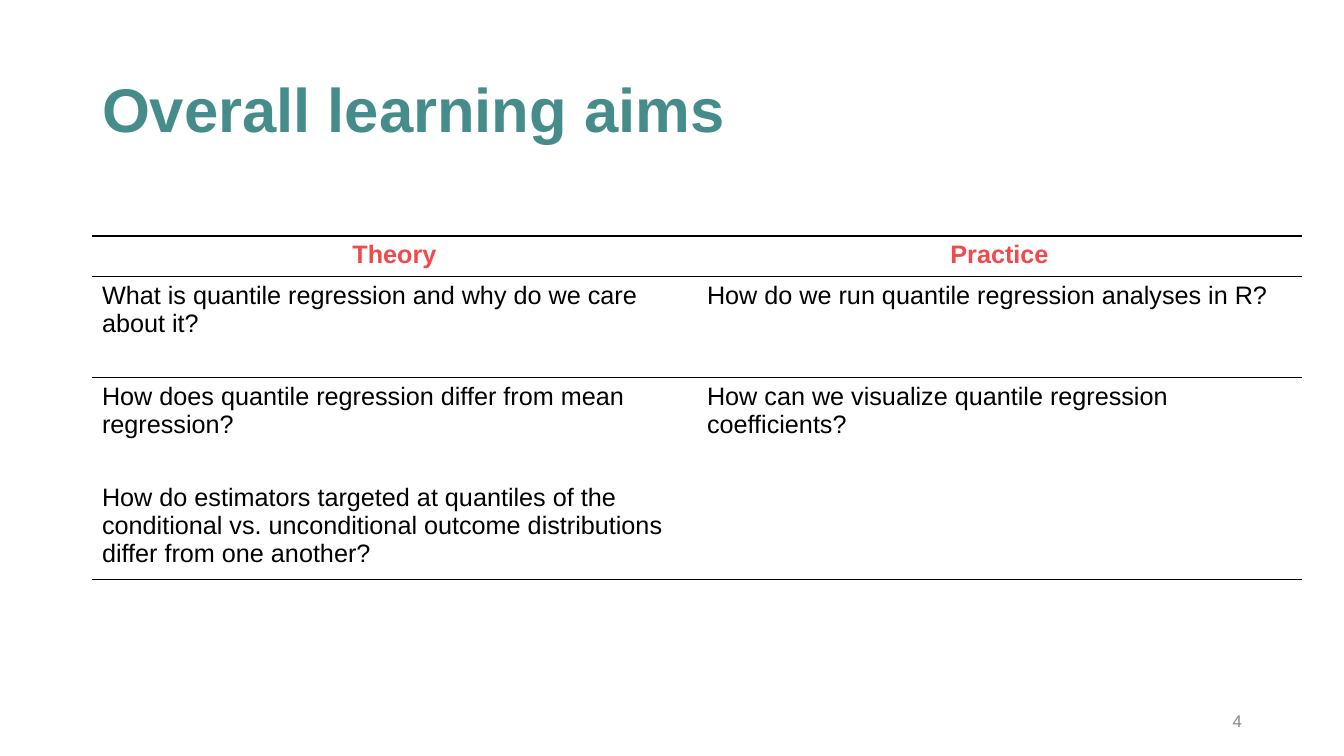
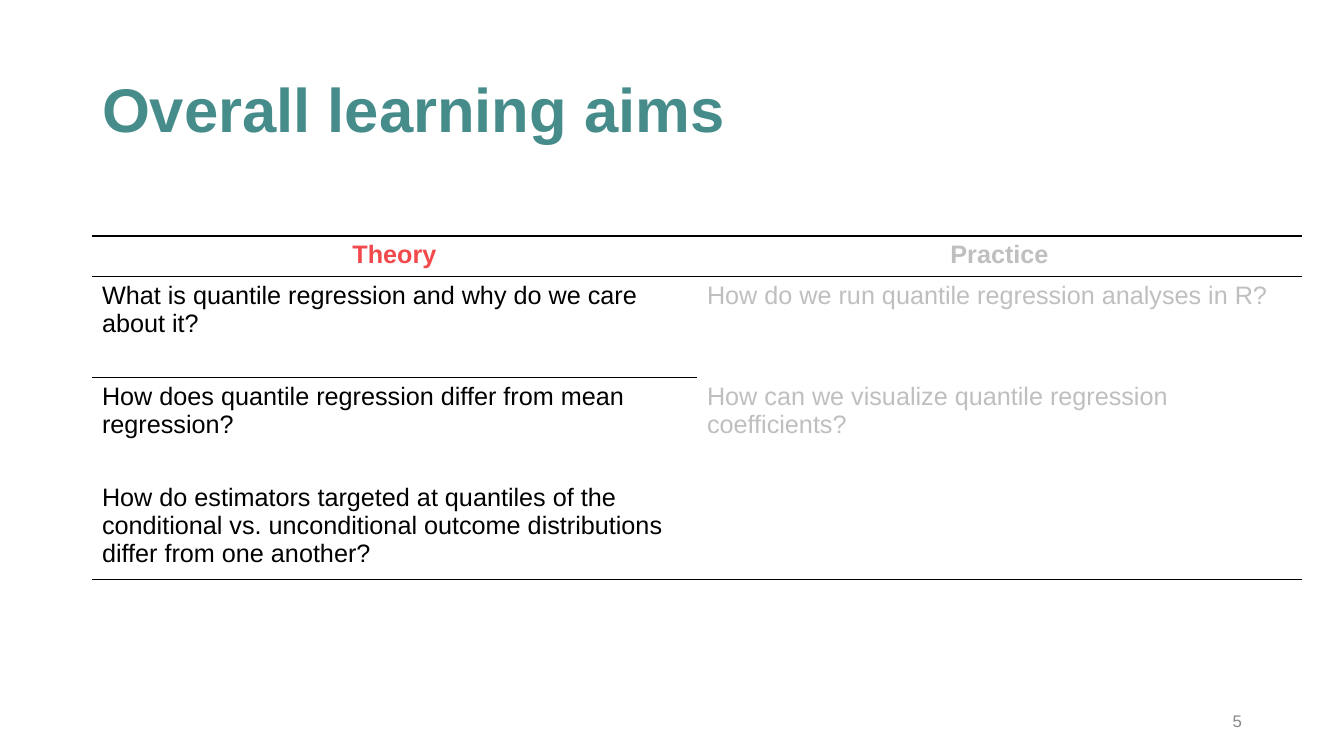
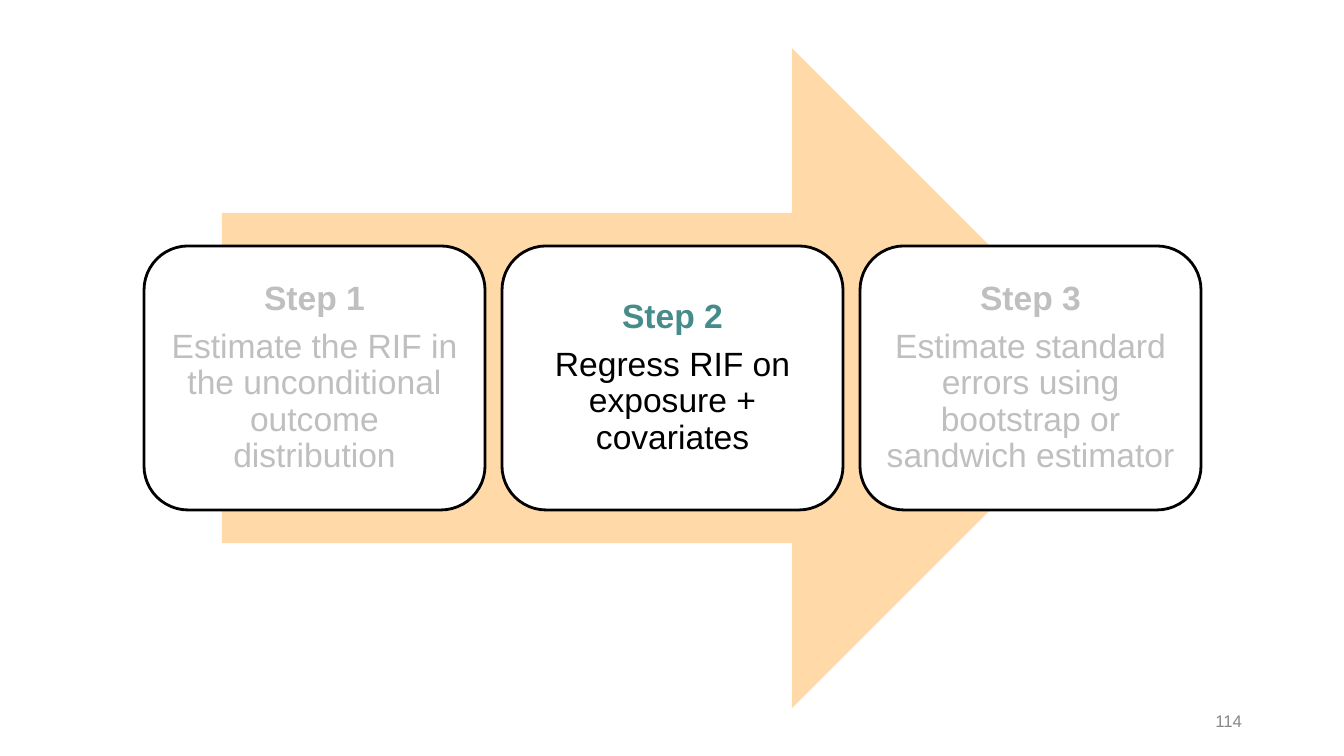
from lxml import etree
from pptx import Presentation
from pptx import util as u
from pptx.dml.color import RGBColor
from pptx.enum import shapes, text
from pptx.oxml import ns

PX = u.Inches(1) / 100.8
FONT = "Arial"
TEAL = RGBColor(0x46, 0x8C, 0x8A)
RED = RGBColor(0xF2, 0x49, 0x4C)
ORANGE = RGBColor(0xFF, 0x93, 0x00)
BLACK = RGBColor(0x00, 0x00, 0x00)
WHITE = RGBColor(0xFF, 0xFF, 0xFF)
FADED = RGBColor(0xBF, 0xBF, 0xBF)
GREY = RGBColor(0x88, 0x88, 0x88)
TITLE_ONLY, BLANK = 5, 6

AIMS = [
    ("Theory", "Practice"),
    ("What is quantile regression and why do we care about it?",
     "How do we run quantile regression analyses in R?"),
    ("How does quantile regression differ from mean regression?",
     "How can we visualize quantile regression coefficients?"),
    ("How do estimators targeted at quantiles of the conditional vs. "
     "unconditional outcome distributions differ from one another?", ""),
]
STEPS = [
    "Estimate the RIF in the unconditional outcome distribution",
    "Regress RIF on exposure + covariates",
    "Estimate standard errors using bootstrap or sandwich estimator",
]


def px(*lengths):
    return [u.Emu(round(length * PX)) for length in lengths]


def style(para, size, color, bold=False, align=text.PP_ALIGN.LEFT):
    para.alignment = align
    para.font.name = FONT
    para.font.size = u.Pt(size)
    para.font.bold = bold
    para.font.color.rgb = color


def add_page(deck, layout, number):
    page = deck.slides.add_slide(deck.slide_layouts[layout])
    frame = page.shapes.add_textbox(*px(950, 701, 302, 40)).text_frame
    frame.word_wrap = True
    frame.vertical_anchor = text.MSO_ANCHOR.MIDDLE
    frame.text = str(number)
    style(frame.paragraphs[0], 12, GREY, align=text.PP_ALIGN.RIGHT)
    return page


def set_title(page, words):
    title = page.shapes.title
    title.left, title.top, title.width, title.height = px(92, 40, 1159, 146)
    frame = title.text_frame
    frame.text = words
    frame.auto_size = text.MSO_AUTO_SIZE.NONE
    frame.vertical_anchor = text.MSO_ANCHOR.MIDDLE
    para = frame.paragraphs[0]
    para.line_spacing = 0.9
    style(para, 44, TEAL, True)


def set_borders(cell, ruled):
    props = cell._tc.get_or_add_tcPr()
    for side in "LRTB":
        line = etree.SubElement(props, ns.qn("a:ln" + side), w=str(u.Pt(1)))
        if side in ruled:
            fill = etree.SubElement(line, ns.qn("a:solidFill"))
            etree.SubElement(fill, ns.qn("a:srgbClr"), val=str(BLACK))
        else:
            etree.SubElement(line, ns.qn("a:noFill"))


def add_aims_table(page, practice_faded):
    heights = [40, 101, 101, 101]
    table = page.shapes.add_table(
        len(AIMS), 2, *px(92, 236, 1210, sum(heights))).table
    table.first_row = table.horz_banding = False
    for row, height in zip(table.rows, heights):
        row.height = px(height)[0]
    for r, aims in enumerate(AIMS):
        for c, words in enumerate(aims):
            faded = practice_faded and c == 1
            cell = table.cell(r, c)
            ruled = ["TB", "T" if faded else "TB", "" if faded else "T", "B"][r]
            set_borders(cell, ruled)
            cell.fill.background()
            cell.text = words
            heading = r == 0
            color = FADED if faded else RED if heading else BLACK
            align = text.PP_ALIGN.CENTER if heading else text.PP_ALIGN.LEFT
            style(cell.text_frame.paragraphs[0], 18, color, heading, align)


def add_aims_page(deck, number, practice_faded):
    page = add_page(deck, TITLE_ONLY, number)
    set_title(page, "Overall learning aims")
    add_aims_table(page, practice_faded)


def add_shape(page, kind, place, color):
    shape = page.shapes.add_shape(kind, *px(*place))
    shape.shadow.inherit = False
    shape.fill.solid()
    shape.fill.fore_color.rgb = color
    shape.line.fill.background()
    return shape


def add_arrow(page):
    arrow = add_shape(page, shapes.MSO_SHAPE.RIGHT_ARROW, (222, 48, 900, 660), ORANGE)
    color = arrow._element.spPr.find(ns.qn("a:solidFill"))[0]
    etree.SubElement(color, ns.qn("a:alpha"), val="34000")


def add_step(page, index, words, active):
    box = add_shape(page, shapes.MSO_SHAPE.ROUNDED_RECTANGLE,
                    (144 + 358 * index, 246, 341, 264), WHITE)
    box.line.color.rgb = BLACK
    box.line.width = u.Pt(2)
    frame = box.text_frame
    frame.word_wrap = True
    frame.vertical_anchor = text.MSO_ANCHOR.MIDDLE
    frame.margin_left = frame.margin_right = u.Inches(0.1)
    frame.margin_top = frame.margin_bottom = u.Inches(0.1)
    frame.text = f"Step {index + 1}\n{words}"
    heading, body = frame.paragraphs
    style(heading, 24, TEAL if active else FADED, True, text.PP_ALIGN.CENTER)
    style(body, 24, BLACK if active else FADED, align=text.PP_ALIGN.CENTER)
    for para in frame.paragraphs:
        para.line_spacing = 0.9
        para.space_after = u.Pt(8.4)


def add_steps_page(deck, number, active):
    page = add_page(deck, BLANK, number)
    add_arrow(page)
    for index, words in enumerate(STEPS):
        add_step(page, index, words, index == active)


def main():
    deck = Presentation()
    deck.slide_width, deck.slide_height = px(1344, 756)
    add_aims_page(deck, 4, practice_faded=False)
    add_aims_page(deck, 5, practice_faded=True)
    add_steps_page(deck, 114, active=1)
    deck.save("out.pptx")


if __name__ == "__main__":
    main()
